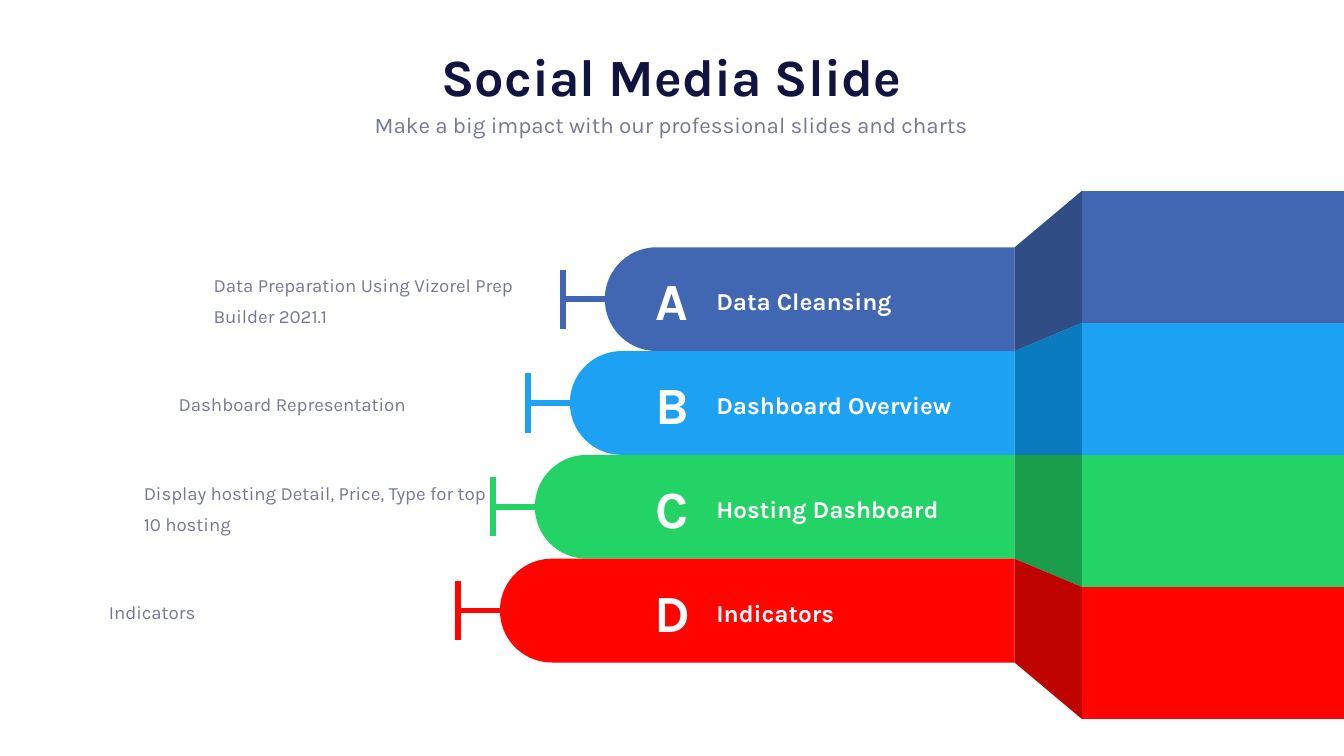
import math

from pptx import Presentation
from pptx.dml.color import RGBColor
from pptx.enum import shapes, text
from pptx.oxml import xmlchemy
from pptx.util import Inches, Pt

COLORS = {
    "title": "111340", "muted": "747993", "white": "FFFFFF",
    "blue": "4167B2", "blue_fold": "304D85",
    "sky": "1DA1F2", "sky_fold": "0B7BC0",
    "green": "24D366", "green_fold": "1A9E4C",
    "red": "FF0400", "red_fold": "BF0300",
}
STYLES = {
    "title": dict(size=Pt(28), bold=True, color="title"),
    "subtitle": dict(size=Pt(12), bold=False, color="muted"),
    "letter": dict(size=Pt(28), bold=True, color="white"),
    "heading": dict(size=Pt(13), bold=True, color="white"),
    "detail": dict(size=Pt(10), bold=False, color="muted"),
}
ROWS = [
    ("A", "Data Cleansing", "Data Preparation Using Vizorel Prep Builder 2021.1", "blue"),
    ("B", "Dashboard Overview", "Dashboard Representation", "sky"),
    ("C", "Hosting Dashboard", "Display hosting Detail, Price, Type for top 10 hosting", "green"),
    ("D", "Indicators", "Indicators", "red"),
]
LEFT, CENTER = text.PP_ALIGN.LEFT, text.PP_ALIGN.CENTER
MIDDLE = text.MSO_ANCHOR.MIDDLE
FOLD_LEFT, FOLD_RIGHT = 7.55, 8.05


def rgb(name):
    return RGBColor.from_string(COLORS[name])


def write(sp, box, words, style, align=LEFT, anchor=MIDDLE, spacing=1.0):
    """Place a text shape and format its single paragraph."""
    sp.left, sp.top, sp.width, sp.height = map(Inches, box)
    tf = sp.text_frame
    frame = dict(word_wrap=True, auto_size=text.MSO_AUTO_SIZE.NONE, vertical_anchor=anchor,
                 margin_left=Inches(0.04), margin_right=Inches(0.04),
                 margin_top=Inches(0.02), margin_bottom=Inches(0.02))
    for key, value in frame.items():
        setattr(tf, key, value)
    p = tf.paragraphs[0]
    for key, value in dict(alignment=align, line_spacing=spacing, space_before=Pt(0)).items():
        setattr(p, key, value)
    r = p.add_run()
    r.text = words
    r.font.name = "Karla"
    for key, value in STYLES[style].items():
        if key == "color":
            r.font.color.rgb = rgb(value)
        else:
            setattr(r.font, key, value)


def add_text(s, box, *args, **kwargs):
    write(s.shapes.add_textbox(*map(Inches, box)), box, *args, **kwargs)


def paint(sp, color):
    sp.fill.solid()
    sp.fill.fore_color.rgb = rgb(color)
    sp.line.fill.background()
    sp.shadow.inherit = False


def add_polygon(s, points, color):
    points = [(Inches(x), Inches(y)) for x, y in points]
    builder = s.shapes.build_freeform(*points[0])
    builder.add_line_segments(points[1:], close=True)
    paint(builder.convert_to_shape(), color)


def add_line(s, start, end, color):
    line = s.shapes.add_connector(shapes.MSO_CONNECTOR.STRAIGHT,
                                  *map(Inches, (*start, *end)))
    line.line.color.rgb = rgb(color)
    line.line.width = Pt(3)
    line._element.spPr.append(xmlchemy.OxmlElement("a:effectLst"))


def add_header(s, left, top, width):
    write(s.shapes.title, (left, top, width, 0.5), "Social Media Slide", "title",
          CENTER, text.MSO_ANCHOR.BOTTOM)
    write(s.placeholders[1], (left, top + 0.45, width, 0.24),
          "Make a big impact with our professional slides and charts", "subtitle",
          CENTER, text.MSO_ANCHOR.TOP, 1.2)


def add_bar(s, left, top, height, color):
    """Bar with a half-round left end."""
    radius, steps = height / 2, 40
    angles = [math.pi * (0.5 + i / steps) for i in range(steps + 1)]
    arc = [(left + radius + radius * math.cos(a), top + radius + radius * math.sin(a))
           for a in angles]
    add_polygon(s, [(FOLD_LEFT, top + height), *arc, (FOLD_LEFT, top)], color)


def add_panel(s, top, height, bar_top, bar_height, color):
    """Right-hand panel and the darker fold joining it to its bar."""
    add_polygon(s, [(10, top + height), (FOLD_RIGHT, top + height),
                    (FOLD_RIGHT, top), (10, top)], color)
    add_polygon(s, [(FOLD_RIGHT, top + height), (FOLD_LEFT, bar_top + bar_height),
                    (FOLD_LEFT, bar_top), (FOLD_RIGHT, top)], color + "_fold")


def add_marker(s, left, middle, color):
    """T-shaped marker between the detail text and the bar."""
    x = left - 0.31
    add_line(s, (x, middle), (left, middle), color)
    add_line(s, (x, middle + 0.22), (x, middle - 0.22), color)


def add_row(s, left, top, height, row, panel_top, panel_height):
    letter, heading, detail, color = row
    add_bar(s, left, top, height, color)
    add_panel(s, panel_top, panel_height, top, height, color)
    add_marker(s, left, top + height / 2, color)
    add_text(s, (left - 2.95, top + 0.16, 2.64, 0.41), detail, "detail", spacing=1.38)
    add_text(s, (4.82, top + 0.14, 0.36, 0.5), letter, "letter", CENTER)
    add_text(s, (5.29, top + 0.25, 2.26, 0.26), heading, "heading", spacing=1.2)


def main():
    prs = Presentation()
    prs.slide_width = Inches(10)
    prs.slide_height = prs.slide_width * 9 // 16
    s = prs.slides.add_slide(prs.slide_layouts[0])
    add_header(s, 1.95, 0.32, 6.09)

    # Stacked rows: each bar starts further left than the one above
    bar_height, panel_height = 3.09 / len(ROWS), 3.93 / len(ROWS)
    for i, row in enumerate(ROWS):
        add_row(s, 4.5 - 0.26 * i, 1.84 + bar_height * i, bar_height, row,
                1.42 + panel_height * i, panel_height)
    prs.save("out.pptx")


if __name__ == "__main__":
    main()
